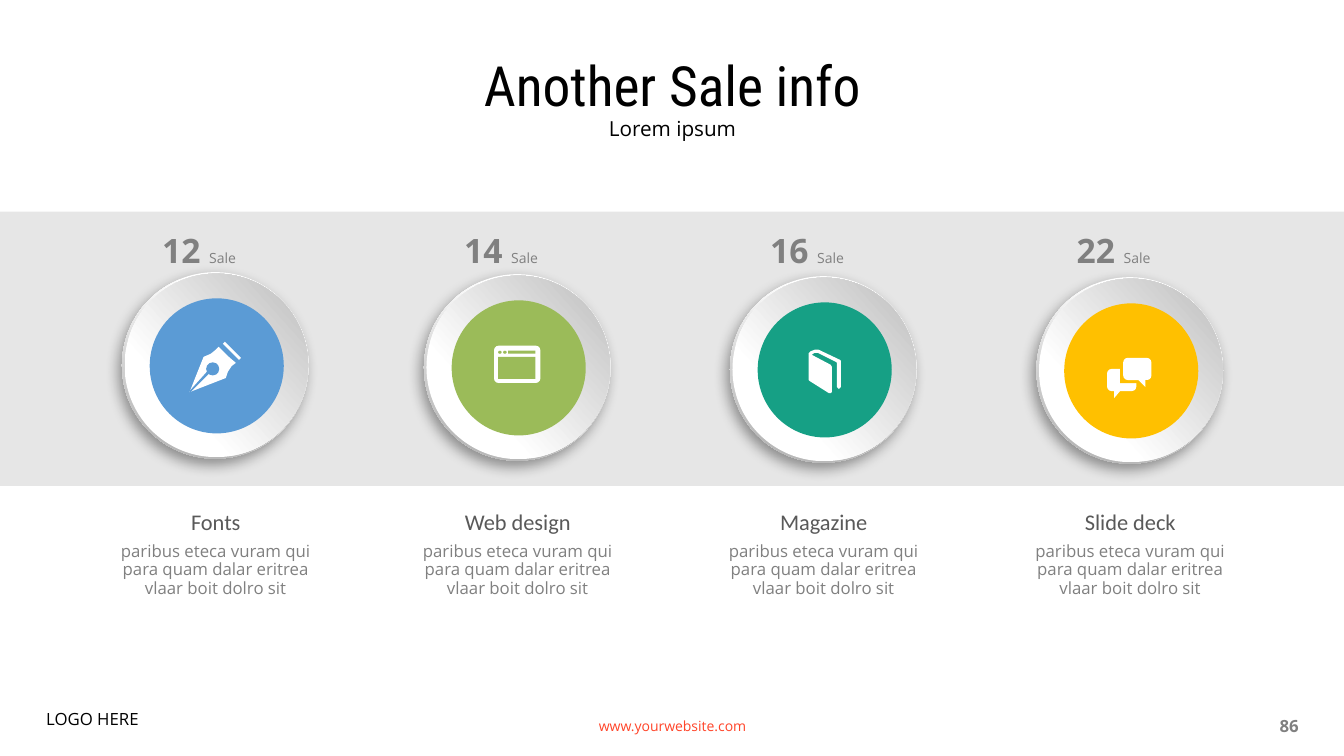
from lxml.etree import SubElement
from pptx import Presentation
from pptx.dml.color import RGBColor
from pptx.enum.shapes import MSO_SHAPE
from pptx.enum.text import MSO_ANCHOR, MSO_AUTO_SIZE, PP_ALIGN
from pptx.oxml.ns import qn
from pptx.util import Inches, Pt

BLACK = RGBColor(0x00, 0x00, 0x00)
WHITE = RGBColor(0xFF, 0xFF, 0xFF)
BAND = RGBColor(0xE6, 0xE6, 0xE6)
RIM_GREY = RGBColor(0xB8, 0xB8, 0xB8)
DISC_GREY = RGBColor(0xBF, 0xBF, 0xBF)
DARK_GREY = RGBColor(0x59, 0x59, 0x59)
GREY = RGBColor(0x80, 0x80, 0x80)
BLUE = RGBColor(0x5B, 0x9B, 0xD5)
GREEN = RGBColor(0x9B, 0xBB, 0x59)
TEAL = RGBColor(0x16, 0xA0, 0x85)
AMBER = RGBColor(0xFF, 0xC0, 0x00)
RED = RGBColor(0xFF, 0x44, 0x29)

BODY_FONT = "Open Sans"
DESCRIPTION = "paribus eteca vuram qui para quam dalar eritrea vlaar boit dolro sit"


def style(size, color, name=BODY_FONT, bold=False):
    return {"size": Pt(size), "name": name, "bold": bold, "color": color}


TITLE = style(39.6, BLACK, "Roboto Condensed")
SUBTITLE = style(14.8, BLACK)
COUNT = style(24, GREY, bold=True)
UNIT = style(10, GREY)
HEADING = style(16, DARK_GREY, "Calibri")
BODY = style(12, GREY)
WEBSITE = style(10, RED)
NUMBER = style(12, GREY, bold=True)
LOGO = style(12, BLACK)


class SaleSlide:
    cell = Inches(0.1)

    def __init__(self, deck):
        self.page = deck.slides.add_slide(deck.slide_layouts[5])
        self.shapes = self.page.shapes

    def grid(self, *cells):
        return [round(value * self.cell) for value in cells]

    def fill_text(self, box, spans, align, anchor, spacing):
        frame = box.text_frame
        settings = {"word_wrap": True, "auto_size": MSO_AUTO_SIZE.NONE,
                    "vertical_anchor": anchor}
        for name, value in settings.items():
            setattr(frame, name, value)
        para = frame.paragraphs[0]
        para.alignment = align
        para.line_spacing = spacing
        for words, formats in spans:
            span = para.add_run()
            span.text = words
            for name, value in formats.items():
                if name == "color":
                    span.font.color.rgb = value
                else:
                    setattr(span.font, name, value)

    def title(self, area, words):
        box = self.shapes.title
        names = ("left", "top", "width", "height")
        for name, value in zip(names, self.grid(*area)):
            setattr(box, name, value)
        self.fill_text(box, [(words, TITLE)], PP_ALIGN.CENTER, MSO_ANCHOR.MIDDLE, 0.9)

    def text(self, area, *spans, align=PP_ALIGN.CENTER, anchor=MSO_ANCHOR.TOP, spacing=1.0):
        box = self.shapes.add_textbox(*self.grid(*area))
        self.fill_text(box, spans, align, anchor, spacing)

    def plain(self, shape, color):
        shape.shadow.inherit = False
        shape.line.fill.background()
        shape.fill.solid()
        shape.fill.fore_color.rgb = color
        return shape

    def shape(self, kind, area, color):
        return self.plain(self.shapes.add_shape(kind, *self.grid(*area)), color)

    def rectangle(self, area, color):
        return self.shape(MSO_SHAPE.RECTANGLE, area, color)

    def oval(self, area, color):
        return self.shape(MSO_SHAPE.OVAL, area, color)

    def rounded(self, area, color, radius):
        box = self.shape(MSO_SHAPE.ROUNDED_RECTANGLE, area, color)
        box.adjustments[0] = radius / min(area[2:])

    def outline(self, points, color):
        corners = [self.grid(*point) for point in points]
        builder = self.shapes.build_freeform(*corners[0], scale=1.0)
        builder.add_line_segments(corners[1:], close=True)
        self.plain(builder.convert_to_shape(), color)

    def shaded(self, area, angle, *stops):
        disc = self.oval(area, WHITE)
        disc.fill.gradient()
        disc.fill.gradient_angle = angle
        for stop, (position, color) in zip(disc.fill.gradient_stops, stops):
            stop.position = position
            stop.color.rgb = color
        return disc

    def cast_shadow(self, shape):
        effects = shape._element.spPr.find(qn("a:effectLst"))
        shadow = SubElement(effects, qn("a:outerShdw"), blurRad=str(Pt(10)), dist=str(Pt(5)),
                            dir=str(123 * 60000), algn="ctr", rotWithShape="0")
        tint = SubElement(shadow, qn("a:srgbClr"), val=str(BLACK))
        SubElement(tint, qn("a:alpha"), val="39000")

    def button(self, left, top, color):
        rim = self.shaded((left, top, 18.5, 18.5), 253, (0.17, WHITE), (0.88, RIM_GREY))
        self.cast_shadow(rim)
        self.shaded((left + 0.25, top + 0.15, 18.2, 18.2), 42, (0.29, WHITE), (0.98, DISC_GREY))
        self.oval((left + 2.75, top + 2.6, 13.3, 13.4), color)

    def pen(self, color):
        self.outline([(22.7, 35.4), (21.7, 34.4), (21.4, 34.7), (20.9, 35.1), (20.2, 35.4),
                      (18.8, 38.9), (22.4, 37.5), (22.6, 36.9), (23, 36.3), (23.4, 36)], WHITE)
        self.outline([(22.3, 33.9), (23.9, 35.5), (23.7, 35.7), (22.1, 34.1)], WHITE)
        self.oval((20.45, 35.95, 1.3, 1.3), color)
        self.outline([(18.8, 38.8), (20.6, 36.8), (20.8, 37), (18.9, 38.9)], color)

    def window(self, color):
        self.rounded((49, 34.3, 4.6, 3.7), WHITE, 0.45)
        self.rectangle((49.4, 35.4, 3.7, 2.2), color)
        self.rectangle((50.4, 34.8, 2.7, 0.3), color)
        for left in (49.4, 49.9):
            self.oval((left, 34.8, 0.35, 0.3), color)

    def book(self, color):
        self.outline([(83.3, 35.7), (81.2, 34.7), (80.8, 34.7), (80.4, 34.85), (80.2, 35.05),
                      (80.2, 37.7), (80.3, 37.8), (82.2, 39), (82.4, 39), (82.5, 38.9),
                      (82.5, 36.4), (82.4, 36.2), (80.5, 35.2), (80.8, 35), (81.1, 35),
                      (82.9, 35.9), (83, 36), (83, 38.4), (83.2, 38.6), (83.4, 38.4),
                      (83.4, 35.8)], WHITE)

    def chat(self, color):
        self.rounded((109.8, 36.6, 2.9, 2.2), WHITE, 0.45)
        self.outline([(110.5, 38.8), (110.5, 39.5), (111.1, 38.8)], WHITE)
        self.rectangle((111.1, 36.5, 1.7, 1.5), color)
        self.rounded((111.4, 35.5, 2.8, 2.2), WHITE, 0.45)
        self.outline([(112.9, 37.7), (113.6, 38.4), (113.6, 37.7)], WHITE)


def main():
    deck = Presentation()
    deck.slide_width = Inches(13.33)
    deck.slide_height = Inches(7.5)
    sale = SaleSlide(deck)
    sale.title((9.2, 6.2, 115, 5.2), "Another Sale info")
    sale.text((9.2, 11.5, 115, 3.2), ("Lorem ipsum", SUBTITLE), spacing=0.8)
    sale.rectangle((0, 21, 133.3, 27.2), BAND)

    columns = [
        (12.1, 27, BLUE, sale.pen, "12 ", "Fonts"),
        (42.05, 27.2, GREEN, sale.window, "14 ", "Web design"),
        (72.4, 27.4, TEAL, sale.book, "16 ", "Magazine"),
        (102.8, 27.5, AMBER, sale.chat, "22 ", "Slide deck"),
    ]
    for left, top, color, icon, count, heading in columns:
        sale.button(left, top, color)
        icon(color)
        sale.text((left + 3, 22.3, 14, 3.7), (count, COUNT), ("Sale", UNIT), align=PP_ALIGN.LEFT)
        sale.text((left - 1.6, 49.9, 21.8, 3.7), (heading, HEADING))
        sale.text((left - 3, 53.4, 24.6, 7.1), (DESCRIPTION, BODY), spacing=0.9)

    middle = MSO_ANCHOR.MIDDLE
    sale.text((44.2, 70, 45, 4), ("www.yourwebsite.com", WEBSITE), anchor=middle)
    sale.text((98.3, 70, 31.5, 4), ("86", NUMBER), align=PP_ALIGN.RIGHT, anchor=middle)
    sale.text((3.6, 70, 41.7, 4.3), ("LOGO HERE", LOGO), align=PP_ALIGN.LEFT, spacing=0.9)
    deck.save("out.pptx")


if __name__ == "__main__":
    main()
